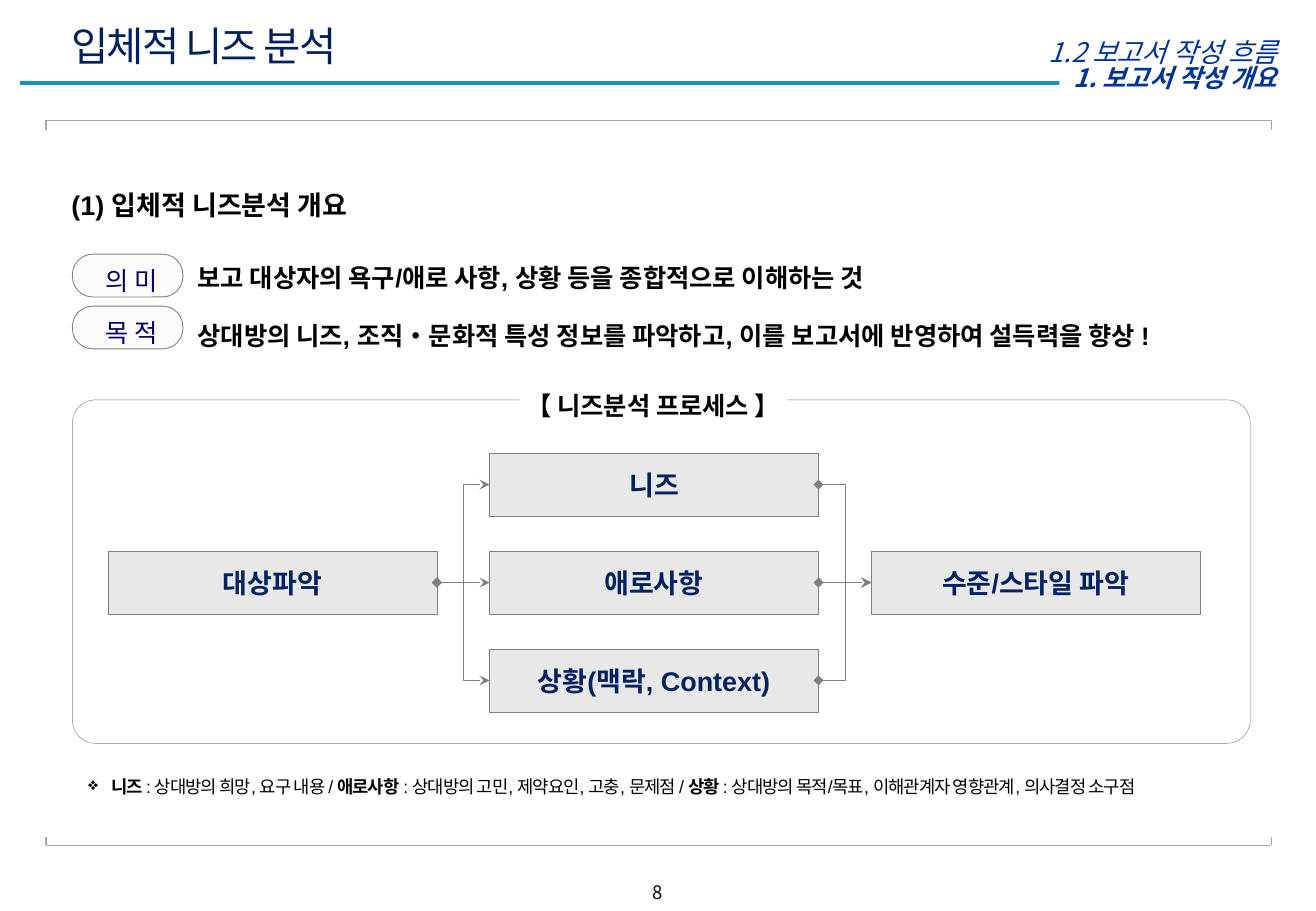
from lxml import etree
from pptx import Presentation, util as u
from pptx.dml.color import RGBColor
from pptx.enum import shapes, text
from pptx.oxml.ns import qn

WIDTH, HEIGHT = u.Inches(10.83), u.Inches(7.5)
HANGUL = "Noto Sans CJK KR"
COLORS = {
    "paper": "FFFFFF", "ink": "000000", "navy": "002060", "royal": "003399",
    "pill_text": "000066", "pill": "FCFBF9", "step": "E8E8E8",
    "outline": "808080", "bracket": "A6A6A6", "rule": "188DD0",
}
CENTER, RIGHT = text.PP_ALIGN.CENTER, text.PP_ALIGN.RIGHT
TOP, MIDDLE = text.MSO_ANCHOR.TOP, text.MSO_ANCHOR.MIDDLE
RECT = shapes.MSO_SHAPE.RECTANGLE
ROUNDED = shapes.MSO_SHAPE.ROUNDED_RECTANGLE
LEFT_SIDE, RIGHT_SIDE = 1, 3


def rgb(name):
    return RGBColor.from_string(COLORS[name])


def across(percent):
    return round(WIDTH * percent / 100)


def down(percent):
    return round(HEIGHT * percent / 100)


def area(x, y, w, h):
    """Turn percentages of the slide into left, top, width and height."""
    return across(x), down(y), across(w), down(h)


def write(holder, content, size=15, font="Arial", color="ink", bold=False,
          italic=False, align=None, anchor=TOP, spacing=None, tracking=None,
          left_inset=0.1, wrap=True, margin=0, indent=0, bullet=None):
    """Fill a shape with one paragraph; content is text or (text, bold) pairs."""
    frame = holder.text_frame
    frame.word_wrap, frame.vertical_anchor = wrap, anchor
    frame.margin_left = u.Inches(left_inset)
    paragraph = frame.paragraphs[0]
    paragraph.alignment = align
    props = paragraph._p.get_or_add_pPr()
    if margin:
        props.set("marL", str(u.Inches(margin)))
        props.set("indent", str(u.Inches(indent)))
    if bullet:
        etree.SubElement(props, qn("a:buChar")).set("char", bullet)
    if spacing:
        paragraph.line_spacing = spacing
    parts = [(content, bold)] if isinstance(content, str) else content
    for words, strong in parts:
        run = paragraph.add_run()
        run.text = words
        run.font.size, run.font.name = u.Pt(size), font
        run.font.bold, run.font.italic = strong, italic
        run.font.color.rgb = rgb(color)
        run_props = run._r.get_or_add_rPr()
        etree.SubElement(run_props, qn("a:ea")).set("typeface", HANGUL)
        if tracking:
            run_props.set("spc", str(round(tracking * 100)))


def add_text(slide, place, content, **style):
    write(slide.shapes.add_textbox(*area(*place)), content, **style)


def add_panel(slide, place, kind=RECT, fill=None, line=None, weight=0.25,
              corner=None):
    panel = slide.shapes.add_shape(kind, *area(*place))
    panel.shadow.inherit = False
    if corner:
        panel.adjustments[0] = corner
    if fill:
        panel.fill.solid()
        panel.fill.fore_color.rgb = rgb(fill)
    else:
        panel.fill.background()
    if line:
        panel.line.color.rgb = rgb(line)
        panel.line.width = u.Pt(weight)
    else:
        panel.line.fill.background()
    return panel


def add_line(slide, start=(0, 0), end=(0, 0), color="outline", weight=0.25,
             kind=shapes.MSO_CONNECTOR.STRAIGHT):
    line = slide.shapes.add_connector(
        kind, across(start[0]), down(start[1]), across(end[0]), down(end[1]))
    line.line.color.rgb = rgb(color)
    line.line.width = u.Pt(weight)
    etree.SubElement(line._element.spPr, qn("a:effectLst"))
    return line


def add_flow(slide, source, target):
    """Join two steps, with a diamond at the source and an arrow at the target."""
    level = source.top == target.top
    kind = shapes.MSO_CONNECTOR.STRAIGHT if level else shapes.MSO_CONNECTOR.ELBOW
    flow = add_line(slide, kind=kind)
    flow.begin_connect(source, RIGHT_SIDE)
    flow.end_connect(target, LEFT_SIDE)
    outline = flow.line._get_or_add_ln()
    for end, head in (("headEnd", "diamond"), ("tailEnd", "stealth")):
        etree.SubElement(outline, qn(f"a:{end}")).set("type", head)


def add_step(slide, column, row, label):
    step = add_panel(slide, (8.2 + 29 * column, 60.5 + 10.75 * (row - 1), 25, 6.9),
                     fill="step", line="outline")
    write(step, label, size=16, color="navy", bold=True, align=CENTER,
          anchor=MIDDLE)
    return step


def add_bracket(slide, edge, tip):
    left, right = 3.5, 96.6
    for start, end in (((left, edge), (right, edge)),
                       ((left, edge), (left, tip)),
                       ((right, edge), (right, tip))):
        add_line(slide, start, end, "bracket", 0.75)


def add_header(slide):
    add_line(slide, (1.5, 9.1), (97.8, 9.1), "rule", 2)
    chapter = add_panel(slide, (80.5, 6.9, 18.2, 3.3), fill="paper")
    write(chapter, "1. 보고서 작성 개요", font=HANGUL, color="royal", bold=True,
          italic=True, align=CENTER, anchor=MIDDLE, left_inset=0.04, wrap=False)
    add_text(slide, (4.5, 2.5, 58.9, 4.9), "입체적 니즈 분석", size=24,
             font=HANGUL, color="navy", anchor=MIDDLE, tracking=-1)
    add_text(slide, (66, 3.2, 32, 4), "1.2 보고서 작성 흐름", size=16,
             font=HANGUL, color="royal", italic=True, align=RIGHT)


def add_overview(slide):
    add_text(slide, (3.6, 18.3, 31.6, 7.3), "(1) 입체적 니즈분석 개요", size=16,
             bold=True, spacing=1.5, margin=0.29, indent=-0.19)
    for label, pill_top, sentence, sentence_top in (
            ("의 미", 27.9, "보고 대상자의 욕구/애로 사항, 상황 등을 종합적으로 이해하는 것",
             27.3),
            ("목 적", 33.6, "상대방의 니즈, 조직•문화적 특성 정보를 파악하고, "
             "이를 보고서에 반영하여 설득력을 향상 !", 33.6)):
        pill = add_panel(slide, (5.5, pill_top, 8.4, 4.7), ROUNDED, "pill",
                         "outline", 0.5, corner=0.475)
        write(pill, label, font=HANGUL, color="pill_text", align=CENTER,
              anchor=MIDDLE, spacing=1.3, left_inset=0.16)
        add_text(slide, (14.1, sentence_top, 82.2, 4.7), sentence, bold=True,
                 anchor=MIDDLE, spacing=1.5)


def add_process(slide):
    add_panel(slide, (5.5, 43.9, 89.5, 37.7), ROUNDED, line="outline",
              corner=0.067)
    caption = add_panel(slide, (39.5, 41.2, 20.3, 6.1), fill="paper")
    write(caption, "【 니즈분석 프로세스 】", bold=True, align=CENTER,
          spacing=1.3, wrap=False)
    audience = add_step(slide, 0, 1, "대상파악")
    findings = [add_step(slide, 1, row, label) for row, label in
                enumerate(("니즈", "애로사항", "상황(맥락, Context)"))]
    level = add_step(slide, 2, 1, "수준/스타일 파악")
    for finding in findings:
        add_flow(slide, audience, finding)
        add_flow(slide, finding, level)


def add_footer(slide):
    definitions = (
        ("니즈 ", True), (": 상대방의 희망, 요구 내용 / ", False),
        ("애로사항", True), (" : 상대방의 고민, 제약요인, 고충, 문제점 / ", False),
        ("상황 ", True),
        (": 상대방의 목적/목표, 이해관계자 영향관계, 의사결정 소구점", False))
    add_text(slide, (5.8, 83.3, 90.2, 4.3), definitions, size=10.5, spacing=1.5,
             tracking=-0.5, margin=0.19, indent=-0.19, bullet="❖")
    add_text(slide, (40.5, 96, 19, 3.3), "8", size=11, font=HANGUL, align=CENTER)


def main():
    deck = Presentation()
    deck.slide_width, deck.slide_height = WIDTH, HEIGHT
    slide = deck.slides.add_slide(deck.slide_layouts[6])
    add_header(slide)
    add_bracket(slide, 13.2, 14.3)
    add_overview(slide)
    add_process(slide)
    add_footer(slide)
    add_bracket(slide, 92.8, 91.9)
    deck.save("out.pptx")


if __name__ == "__main__":
    main()
